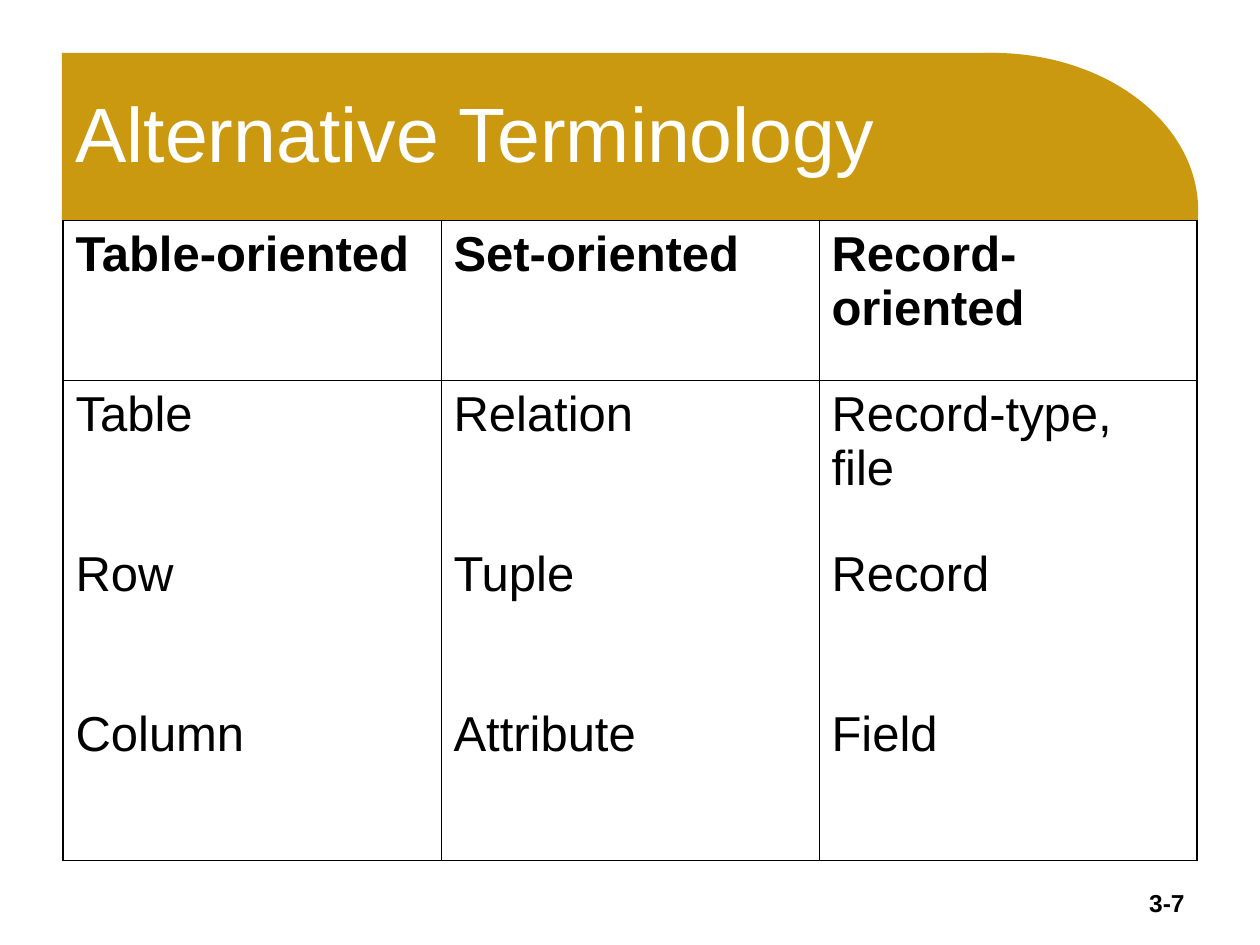
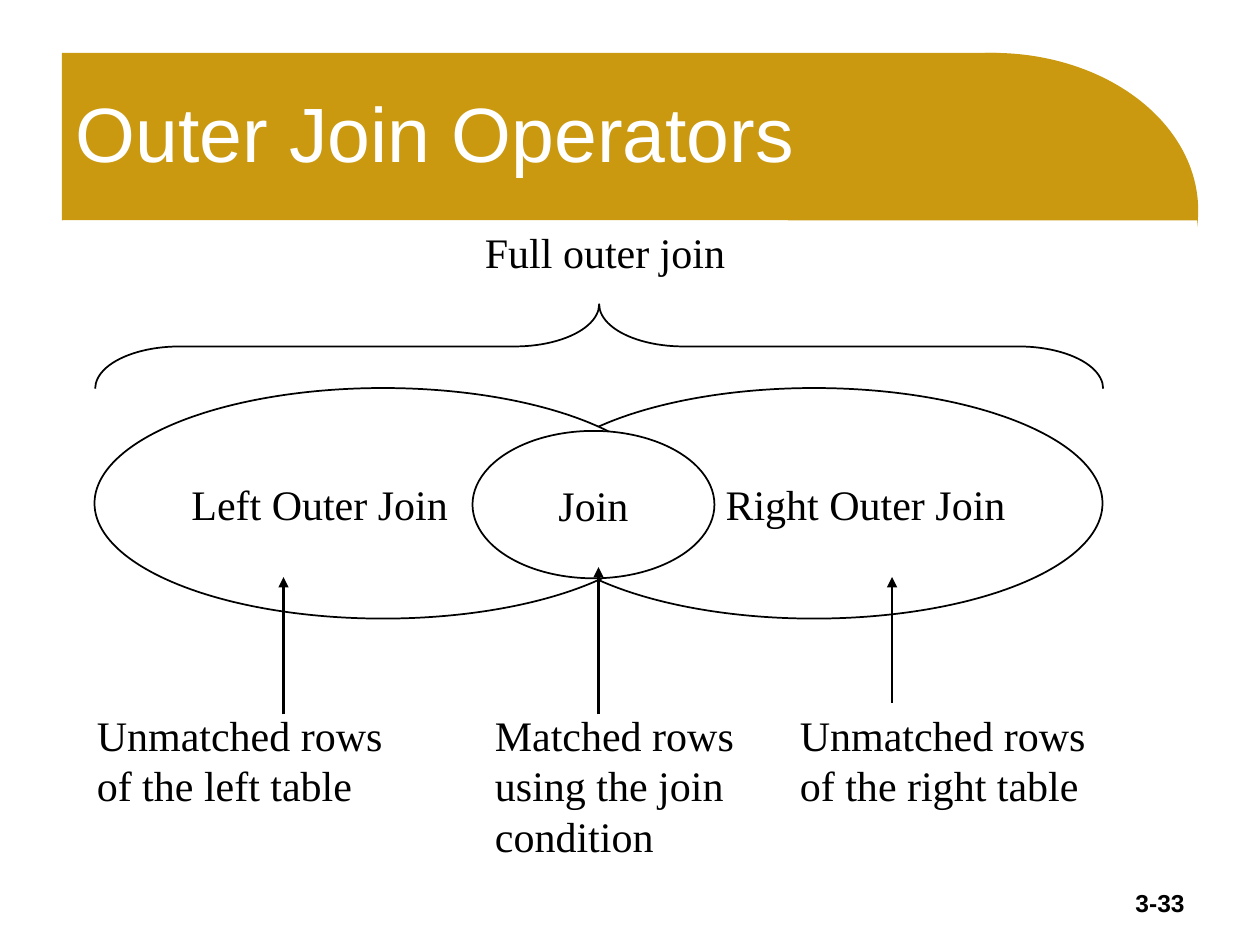
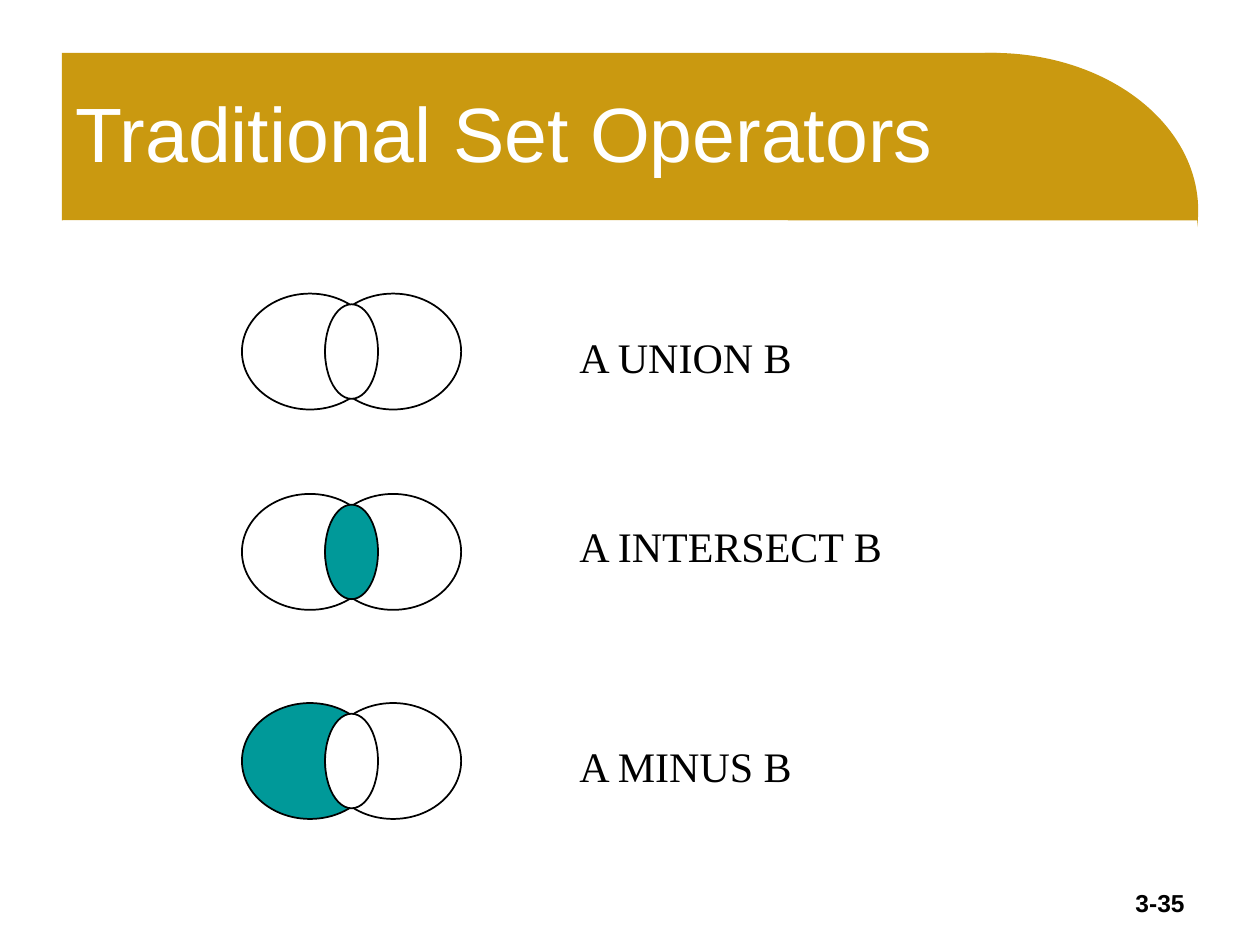
from dataclasses import dataclass

from lxml.etree import SubElement
from pptx import Presentation
from pptx.dml.color import RGBColor
from pptx.enum.shapes import MSO_CONNECTOR, MSO_SHAPE as Shp
from pptx.enum.text import MSO_ANCHOR as Anchor, PP_ALIGN as Align
from pptx.oxml.ns import qn
from pptx.util import Inches, Pt

# Shared style
GOLD, TEAL, WHITE, BLACK = "CA9910", "009999", "FFFFFF", "000000"
SANS, SERIF = "Arial", "Times New Roman"
LEFT, BODY_TOP, BODY_W = 0.5, 1.75, 9
OUTER_PT, INNER_PT = 1.08, 0.45


@dataclass(frozen=True)
class Font:
    size: float
    name: str = SERIF
    color: str = BLACK
    bold: bool = False


TITLE = Font(44, SANS, WHITE)
NUMBER = Font(14, SANS, bold=True)
HEAD = Font(28, SANS, bold=True)
CELL = Font(28, SANS)
LABEL = Font(24)


@dataclass(frozen=True)
class Box:
    x: float
    y: float
    w: float
    h: float

    def emu(self) -> tuple:
        return tuple(Inches(v) for v in (self.x, self.y, self.w, self.h))


@dataclass(frozen=True)
class JoinOval:
    text: str
    box: Box
    align: Align


@dataclass(frozen=True)
class Callout:
    text: str
    box: Box
    arrow_x: float
    arrow_from: float
    arrow_to: float


@dataclass(frozen=True)
class Venn:
    text: str
    top: float
    label_top: float
    label_w: float
    left_fill: str = WHITE
    lens_fill: str = WHITE


def rgb(color: str) -> RGBColor:
    return RGBColor.from_string(color)


def write(tf, text: str, font: Font, align=Align.LEFT) -> None:
    p = tf.paragraphs[0]
    p.alignment = align
    r = p.add_run()
    r.text = text
    r.font.size, r.font.name, r.font.bold = Pt(font.size), font.name, font.bold
    r.font.color.rgb = rgb(font.color)


def add_text(s, text: str, box: Box, font: Font = LABEL,
             align=Align.LEFT, anchor=Anchor.TOP) -> None:
    tf = s.shapes.add_textbox(*box.emu()).text_frame
    tf.word_wrap = True
    tf.vertical_anchor = anchor
    write(tf, text, font, align)


def add_shape(s, kind: Shp, box: Box, fill: str | None, line: str | None = None):
    sp = s.shapes.add_shape(kind, *box.emu())
    sp.shadow.inherit = False
    if fill:
        sp.fill.solid()
        sp.fill.fore_color.rgb = rgb(fill)
    else:
        sp.fill.background()
    if line:
        sp.line.color.rgb = rgb(line)
        sp.line.width = Pt(1)
    else:
        sp.line.fill.background()
    return sp


def add_arrow(s, x: float, y1: float, y2: float) -> None:
    cn = s.shapes.add_connector(MSO_CONNECTOR.STRAIGHT, Inches(x), Inches(y1), Inches(x), Inches(y2))
    cn.line.color.rgb = rgb(BLACK)
    cn.line.width = Pt(1.5)
    SubElement(cn.line._get_or_add_ln(), qn("a:tailEnd"), type="triangle")
    SubElement(cn._element.spPr, qn("a:effectLst"))


def set_border(cell, side: str, width: float) -> None:
    """Draw one side of a cell; a width of 0 leaves it empty."""
    ln = SubElement(cell._tc.get_or_add_tcPr(), qn(f"a:ln{side}"), w=str(Pt(width)))
    if width:
        SubElement(SubElement(ln, qn("a:solidFill")), qn("a:srgbClr"), val=BLACK)
    else:
        SubElement(ln, qn("a:noFill"))


def add_slide(prs, title: str, number: str, body_h: float = 5.17):
    s = prs.slides.add_slide(prs.slide_layouts[6])
    # Gold band with a rounded end; the white body hides the ellipse's lower half
    add_shape(s, Shp.RECTANGLE, Box(0.49, 0.42, 7.42, 1.33), GOLD)
    add_shape(s, Shp.OVAL, Box(6.25, 0.42, 3.26, 2.5), GOLD)
    add_text(s, number, Box(7.15, 7, 2.35, 0.34), NUMBER, Align.RIGHT)
    add_shape(s, Shp.RECTANGLE, Box(LEFT, BODY_TOP, BODY_W, body_h), WHITE)
    add_text(s, title, Box(LEFT, 0.42, 8.75, 1.25), TITLE, anchor=Anchor.MIDDLE)
    return s


TERMS = [
    ("Table-oriented", "Set-oriented", "Record-oriented"),
    ("Table", "Relation", "Record-type, file"),
    ("Row", "Tuple", "Record"),
    ("Column", "Attribute", "Field"),
]

JOIN_OVALS = [
    JoinOval("Right Outer Join", Box(4.17, 3.08, 4.58, 1.83), Align.RIGHT),
    JoinOval("Left Outer Join", Box(0.75, 3.08, 4.58, 1.83), Align.LEFT),
    JoinOval("Join", Box(3.75, 3.42, 1.92, 1.17), Align.CENTER),
]

CALLOUTS = [
    Callout("Matched rows using the join condition", Box(3.83, 5.58, 2.17, 1.3), 4.75, 5.67, 4.5),
    Callout("Unmatched rows of the left table", Box(0.67, 5.58, 2.67, 0.9), 2.25, 5.67, 4.58),
    Callout("Unmatched rows of the right table", Box(6.25, 5.58, 2.67, 0.9), 7.08, 5.58, 4.58),
]

VENNS = [
    Venn("A UNION B", 2.33, 2.58, 2.08),
    Venn("A INTERSECT B", 3.92, 4.08, 2.75, lens_fill=TEAL),
    Venn("A MINUS B", 5.58, 5.83, 2.08, left_fill=TEAL),
]


def build_terminology(prs) -> None:
    body_h = 5.08
    s = add_slide(prs, "Alternative Terminology", "3-7", body_h)
    n_rows, n_cols = len(TERMS), len(TERMS[0])
    box = Box(LEFT, BODY_TOP, BODY_W, body_h)
    table = s.shapes.add_table(n_rows, n_cols, *box.emu()).table
    table.first_row = table.horz_banding = False
    for i, row in enumerate(TERMS):
        for j, text in enumerate(row):
            cell = table.cell(i, j)
            write(cell.text_frame, text, CELL if i else HEAD)
            # Heavy frame, thin column rules and one rule under the header
            set_border(cell, "L", INNER_PT if j else OUTER_PT)
            set_border(cell, "R", OUTER_PT if j == n_cols - 1 else INNER_PT)
            set_border(cell, "T", {0: OUTER_PT, 1: INNER_PT}.get(i, 0))
            set_border(cell, "B", {0: INNER_PT, n_rows - 1: OUTER_PT}.get(i, 0))
            cell.fill.background()


def build_outer_join(prs) -> None:
    s = add_slide(prs, "Outer Join Operators", "3-33")
    for oval in JOIN_OVALS:
        tf = add_shape(s, Shp.OVAL, oval.box, WHITE, BLACK).text_frame
        tf.word_wrap = False
        tf.vertical_anchor = Anchor.MIDDLE
        write(tf, oval.text, LABEL, oval.align)
    for c in CALLOUTS:
        add_text(s, c.text, c.box)
        add_arrow(s, c.arrow_x, c.arrow_from, c.arrow_to)
    # Brace over both ovals, turned to point up
    brace = add_shape(s, Shp.LEFT_BRACE, Box(4.42, -1.25, 0.67, 8), None, BLACK)
    brace.rotation = 90
    brace.adjustments[0] = 1.0
    add_text(s, "Full outer join", Box(3.75, 1.75, 2.42, 0.5))


def build_set_operators(prs) -> None:
    s = add_slide(prs, "Traditional Set Operators", "3-35")
    left_x, right_x, w, h, lens_h = 1.92, 2.58, 1.08, 0.92, 0.75
    for v in VENNS:
        lens = Box(right_x, v.top + (h - lens_h) / 2, left_x + w - right_x, lens_h)
        add_shape(s, Shp.OVAL, Box(left_x, v.top, w, h), v.left_fill, BLACK)
        add_shape(s, Shp.OVAL, Box(right_x, v.top, w, h), WHITE, BLACK)
        add_shape(s, Shp.OVAL, lens, v.lens_fill, BLACK)
        add_text(s, v.text, Box(4.5, v.label_top, v.label_w, 0.5))


def main() -> None:
    prs = Presentation()
    prs.slide_width, prs.slide_height = Inches(10), Inches(7.5)
    build_terminology(prs)
    build_outer_join(prs)
    build_set_operators(prs)
    prs.save("out.pptx")


if __name__ == "__main__":
    main()
